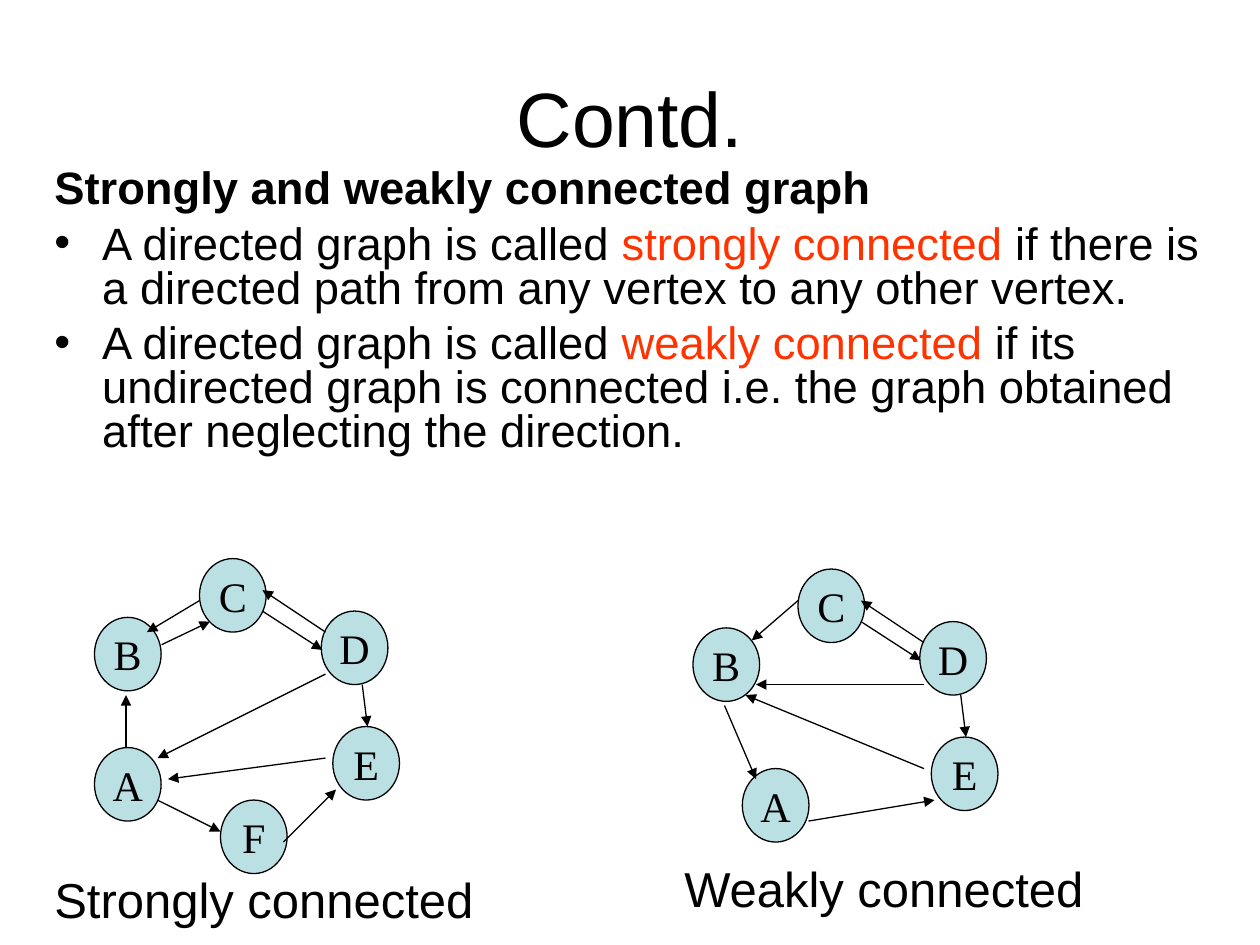
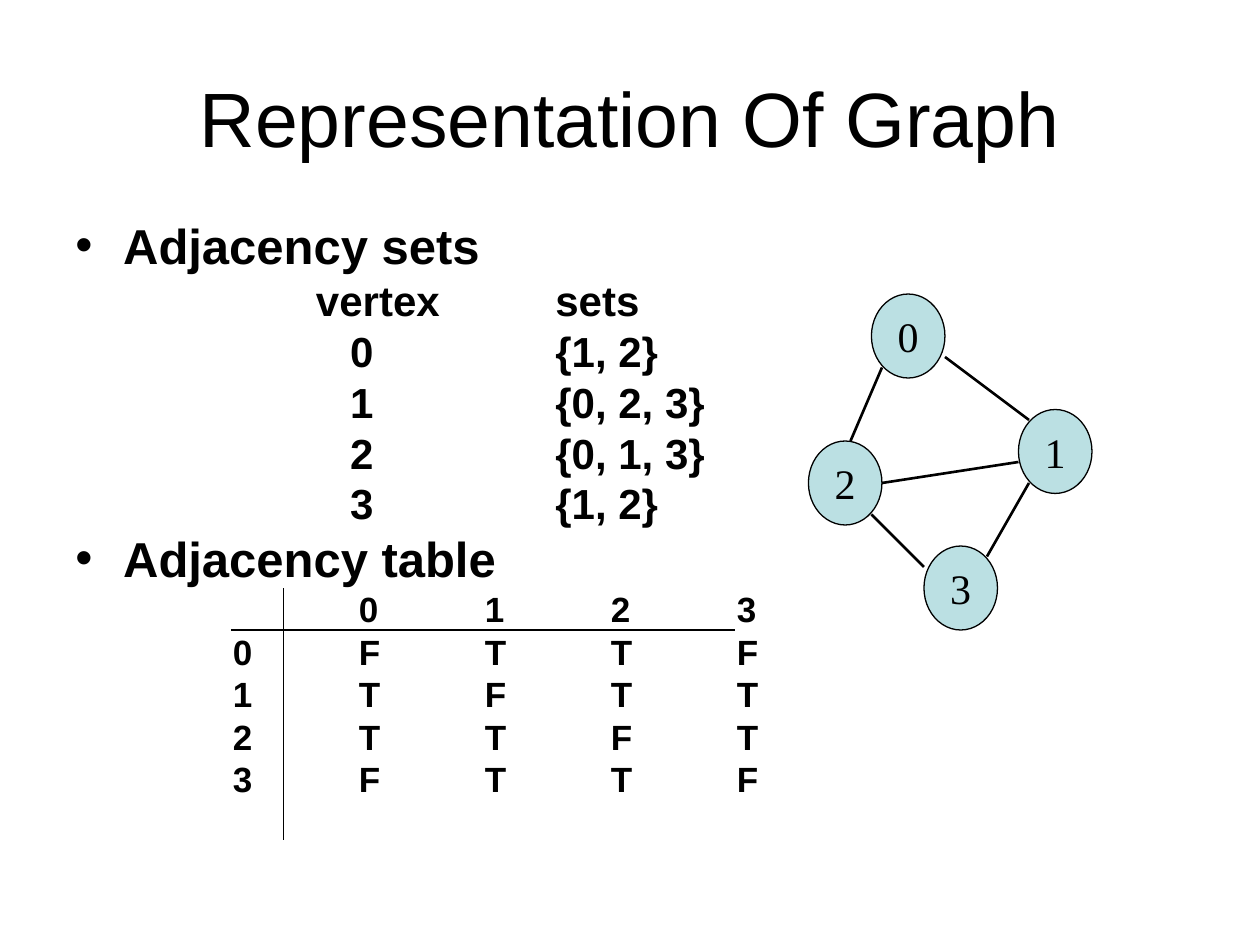
"""Build two slides on connected graphs and the representation of graphs."""
import pptx
import pptx.util
import pptx.dml.color
import pptx.enum.shapes
import pptx.enum.text
import pptx.oxml.ns
import lxml.etree

HUES = {"ink": "000000", "node": "BBE0E3", "mark": "FF3300"}
SANS, SERIF = "Arial", "Times New Roman"
COLS, ROWS = 120, 90
WIDE, HIGH = pptx.util.Inches(10), pptx.util.Inches(7.5)
LEAD = 0.8
ALIGN = pptx.enum.text.PP_ALIGN
ANCHOR = pptx.enum.text.MSO_ANCHOR

PAIR_NODES = {"B": (9, 58.6), "C": (19, 53), "D": (30.6, 58), "E": (31.7, 69)}
PAIR_EDGES = [(25, 58, 30.7, 61.7), (31, 60, 25, 56), (34.5, 65, 35, 69)]
STRONG = {
    "nodes": PAIR_NODES | {"A": (9, 71), "F": (21, 76)},
    "edges": PAIR_EDGES + [
        (15.4, 61.2, 20, 59), (19, 57, 14, 60), (15, 76, 21, 79),
        (27, 80, 32, 75), (31, 64, 15, 72), (12, 71, 12, 66),
        (31, 72, 16, 74)],
}
WEAK = {
    "nodes": PAIR_NODES | {"A": (13.7, 72)},
    "edges": PAIR_EDGES + [
        (19, 56, 14.6, 59.8), (20, 77, 32, 75), (31, 64, 15, 64),
        (12, 66, 15, 73), (31, 72, 14, 65)],
}
PLAIN = {
    "nodes": {"0": (83, 28), "1": (97, 39), "2": (77, 42), "3": (88, 52)},
    "edges": [(84, 35, 81, 42), (83, 49, 88, 54), (84, 46, 97, 44),
              (90, 34, 98, 40), (98, 46, 94, 53)],
}
SETS = ["{1, 2}", "{0, 2, 3}", "{0, 1, 3}", "{1, 2}"]
TABLE = ["FTTF", "TFTT", "TTFT", "FTTF"]


def col(num):
    """Turn grid columns into a length."""
    return round(WIDE * num / COLS)


def row(num):
    """Turn grid rows into a length."""
    return round(HIGH * num / ROWS)


def rgb(hue):
    """Look up a colour by name."""
    return pptx.dml.color.RGBColor.from_string(HUES[hue])


def add(parent, tag, **attrs):
    """Append a drawing element with its attributes."""
    item = lxml.etree.SubElement(parent, pptx.oxml.ns.qn(tag))
    for name, value in attrs.items():
        item.set(name, str(value))
    return item


def write(frame, runs, size=28, font=SANS, bold=False, align=ALIGN.LEFT,
          space=0, lead=1.0, bullet=False, tabs=()):
    """Write one paragraph of (text, hue) runs in the given format."""
    first = not frame.paragraphs[0].runs
    para = frame.paragraphs[0] if first else frame.add_paragraph()
    props = para._p.get_or_add_pPr()
    if bullet:
        hang = pptx.util.Inches(0.38)
        props.set("marL", str(hang))
        props.set("indent", str(-hang))
        add(props, "a:buFont", typeface=SANS)
        add(props, "a:buChar", char="•")
    if tabs:
        stops = add(props, "a:tabLst")
        for stop in tabs:
            add(stops, "a:tab", pos=pptx.util.Inches(stop), algn="l")
    para.alignment = align
    para.line_spacing = lead
    para.space_before = pptx.util.Pt(0 if first else space)
    for words, hue in [(runs, "ink")] if isinstance(runs, str) else runs:
        run = para.add_run()
        run.text = words
        run.font.size = pptx.util.Pt(size)
        run.font.name = font
        run.font.bold = bold
        run.font.color.rgb = rgb(hue)


def box(slide, left, top, wide, high, anchor=ANCHOR.TOP):
    """Add an empty wrapping text box and return its frame."""
    shape = slide.shapes.add_textbox(col(left), row(top), col(wide), row(high))
    frame = shape.text_frame
    frame.word_wrap = True
    frame.vertical_anchor = anchor
    return frame


def page(deck, title):
    """Add a blank slide with the shared title."""
    slide = deck.slides.add_slide(deck.slide_layouts[6])
    frame = box(slide, 6, 3.6, 108, 15, ANCHOR.MIDDLE)
    write(frame, title, size=44, align=ALIGN.CENTER)
    return slide


def line(slide, ends, weight=0.75, arrow=False):
    """Draw a straight line, with an arrowhead at its end if asked."""
    left, top, right, foot = ends
    link = slide.shapes.add_connector(
        pptx.enum.shapes.MSO_CONNECTOR.STRAIGHT,
        col(left), row(top), col(right), row(foot))
    link.line.color.rgb = rgb("ink")
    link.line.width = pptx.util.Pt(weight)
    if arrow:
        add(link.line._get_or_add_ln(), "a:tailEnd", type="triangle")
    add(link._element.spPr, "a:effectLst")


def node(slide, name, left, top, wide, high):
    """Draw a named vertex."""
    shape = slide.shapes.add_shape(
        pptx.enum.shapes.MSO_SHAPE.OVAL,
        col(left), row(top), col(wide), row(high))
    shape.shadow.inherit = False
    shape.fill.solid()
    shape.fill.fore_color.rgb = rgb("node")
    shape.line.color.rgb = rgb("ink")
    shape.line.width = pptx.util.Pt(0.75)
    shape.text_frame.word_wrap = False
    shape.text_frame.vertical_anchor = ANCHOR.MIDDLE
    write(shape.text_frame, name, size=24, font=SERIF, align=ALIGN.CENTER)


def graph(slide, data, size, shift=(0, 0), **style):
    """Draw the vertices and edges of a graph, moved by a shift."""
    dx, dy = shift
    for name, (left, top) in data["nodes"].items():
        node(slide, name, left + dx, top + dy, *size)
    for x1, y1, x2, y2 in data["edges"]:
        line(slide, (x1 + dx, y1 + dy, x2 + dx, y2 + dy), **style)


def linked(deck):
    """Build the slide on strong and weak connection."""
    slide = page(deck, "Contd.")
    frame = box(slide, 4, 15.6, 114, 31.4)
    form = {"size": 25.9, "lead": LEAD, "space": 7}
    write(frame, "Strongly and weakly connected graph", bold=True, **form)
    for term, rest in [
            ("strongly connected", " if there is a directed path from any "
             "vertex to any other vertex."),
            ("weakly connected", " if its undirected graph is connected i.e. "
             "the graph obtained after neglecting the direction.")]:
        runs = [("A directed graph is called ", "ink"), (term, "mark"),
                (rest, "ink")]
        write(frame, runs, bullet=True, **form)
    for data, shift, left, top, label in [
            (STRONG, (0, 0.2), 4, 82.2, "Strongly connected"),
            (WEAK, (57, 1.2), 64, 81.2, "Weakly connected")]:
        graph(slide, data, (6.35, 7), shift, arrow=True)
        write(box(slide, left, top, 48, 6.8), label)


def stored(deck):
    """Build the slide on adjacency sets and the adjacency table."""
    slide = page(deck, "Representation Of Graph")
    frame = box(slide, 6, 21, 108, 59.4)
    form = {"bold": True, "lead": LEAD}
    head = form | {"bullet": True, "space": 7}
    pair = form | {"size": 24, "space": 6}
    grid = form | {"size": 20, "space": 5,
                   "tabs": [1.25 + step for step in range(5)]}
    write(frame, "Adjacency sets", **head)
    write(frame, "\tvertex\tsets", tabs=(1.91, 3.81), **pair)
    for num, group in enumerate(SETS):
        write(frame, f"\t{num}\t{group}", tabs=(2.18, 3.81), **pair)
    write(frame, "Adjacency table", **head)
    write(frame, "\t\t" + "\t".join("0123"), **grid)
    for num, flags in enumerate(TABLE):
        write(frame, f"\t{num}\t" + "\t".join(flags), **grid)
    graph(slide, PLAIN, (7, 8), weight=1.5)
    line(slide, (22, 60, 70, 60))
    line(slide, (27, 80, 27, 56))


def main():
    """Build and save the deck."""
    deck = pptx.Presentation()
    deck.slide_width, deck.slide_height = WIDE, HIGH
    linked(deck)
    stored(deck)
    deck.save("out.pptx")


if __name__ == "__main__":
    main()
